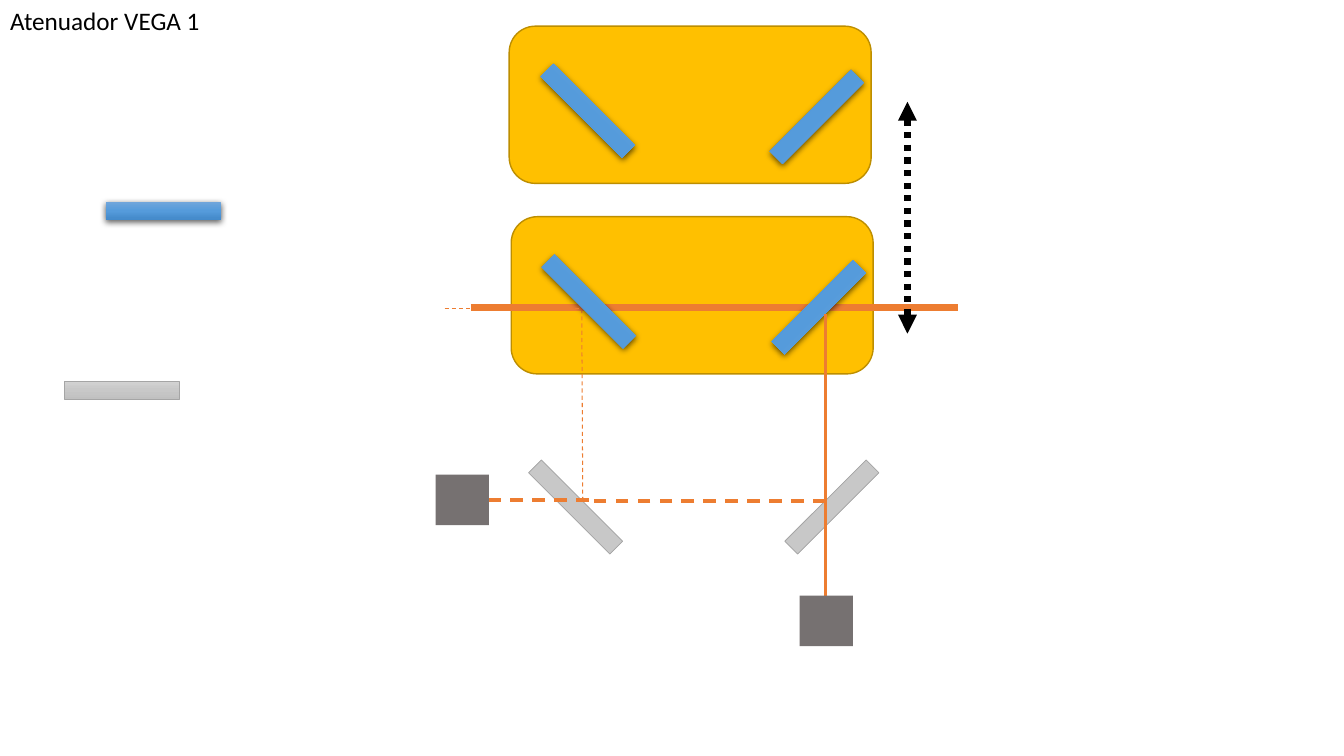
"""Draw the optical layout of a beam attenuator on one slide."""
import copy

import pptx
import pptx.dml.color
import pptx.enum.dml
import pptx.enum.shapes
import pptx.enum.text
import pptx.oxml
import pptx.oxml.ns
import pptx.util

Inches = pptx.util.Inches
Pt = pptx.util.Pt
qn = pptx.oxml.ns.qn
KIND = pptx.enum.shapes.MSO_SHAPE
DASH = pptx.enum.dml.MSO_LINE.DASH
DOT = pptx.enum.dml.MSO_LINE.ROUND_DOT

COLORS = {
    "text": "000000",
    "beam": "ED7D31",
    "stage": "FFC000",
    "edge": "BD8E00",
    "block": "767171",
    "rim": "A5A5A5",
}
BLUE = ("71A6DB", "559BDB", "448ACA")
GRAY = ("D2D2D2", "C8C8C8", "C0C0C0")
SHADOW = (
    '<a:outerShdw xmlns:a="http://schemas.openxmlformats.org/drawingml/2006/main"'
    ' blurRad="57150" dist="19050" dir="5400000" algn="ctr" rotWithShape="0">'
    '<a:srgbClr val="000000"><a:alpha val="63000"/></a:srgbClr></a:outerShdw>'
)


def color(name):
    return pptx.dml.color.RGBColor.from_string(COLORS[name])


def add_title(slide, text):
    title = slide.shapes.title
    title.left, title.top = Inches(0), Inches(0)
    title.width, title.height = Inches(2.1), Inches(0.4)
    frame = title.text_frame
    frame.word_wrap = False
    frame.auto_size = pptx.enum.text.MSO_AUTO_SIZE.NONE
    frame.vertical_anchor = pptx.enum.text.MSO_ANCHOR.TOP
    line = frame.paragraphs[0]
    line.alignment = pptx.enum.text.PP_ALIGN.LEFT
    line.line_spacing = 1.0
    run = line.add_run()
    run.text = text
    run.font.size = Pt(18)
    run.font.name = "Calibri"
    run.font.color.rgb = color("text")


def add_box(slide, kind, left, top, width, height):
    box = slide.shapes.add_shape(
        kind, Inches(left), Inches(top), Inches(width), Inches(height))
    box.shadow.inherit = False
    box.line.fill.background()
    return box


def set_line(line, name, width):
    line.color.rgb = color(name)
    line.width = Pt(width)


def add_stage(slide, left, top):
    stage = add_box(slide, KIND.ROUNDED_RECTANGLE, left, top, 3.59, 1.56)
    stage.fill.solid()
    stage.fill.fore_color.rgb = color("stage")
    set_line(stage.line, "edge", 1)


def add_block(slide, left, top):
    block = add_box(slide, KIND.RECTANGLE, left, top, 0.53, 0.5)
    block.fill.solid()
    block.fill.fore_color.rgb = color("block")


def add_mirror(slide, left, top, tones, angle=0):
    mirror = add_box(slide, KIND.RECTANGLE, left, top, 1.14, 0.18)
    mirror.rotation = angle
    mirror.fill.gradient()
    mirror.fill.gradient_angle = 270
    stops = next(mirror._element.spPr.iter(qn("a:gsLst")))
    stops.insert(1, copy.deepcopy(stops[0]))
    for stop, tone, place in zip(mirror.fill.gradient_stops, tones, (0, 0.5, 1)):
        stop.color.rgb = pptx.dml.color.RGBColor.from_string(tone)
        stop.position = place
    if tones is BLUE:
        effects = mirror._element.spPr.find(qn("a:effectLst"))
        effects.append(pptx.oxml.parse_xml(SHADOW))
    else:
        set_line(mirror.line, "rim", 0.5)


def add_beam(slide, start, end, width, dash=None, name="beam"):
    beam = slide.shapes.add_connector(
        pptx.enum.shapes.MSO_CONNECTOR.STRAIGHT,
        *(Inches(value) for value in (*start, *end)))
    set_line(beam.line, name, width)
    if dash:
        beam.line.dash_style = dash
    props = beam._element.spPr
    props.append(props.makeelement(qn("a:effectLst"), {}))
    return beam


def add_arrow(slide, start, end):
    arrow = add_beam(slide, start, end, 4.5, DOT, "text")
    line = arrow._element.spPr.find(qn("a:ln"))
    for tag in ("a:headEnd", "a:tailEnd"):
        line.append(line.makeelement(qn(tag), {"type": "triangle"}))


def main():
    deck = pptx.Presentation()
    deck.slide_width, deck.slide_height = Inches(13.33), Inches(7.5)
    slide = deck.slides.add_slide(deck.slide_layouts[5])
    add_title(slide, "Atenuador VEGA 1")

    add_mirror(slide, 0.64, 3.78, GRAY)
    add_mirror(slide, 1.05, 2, BLUE)

    add_stage(slide, 5.07, 2.15)
    add_beam(slide, (4.67, 3.05), (9.5, 3.05), 4.5)
    add_mirror(slide, 7.55, 2.96, BLUE, 135)
    add_mirror(slide, 7.68, 4.94, GRAY, 135)
    add_beam(slide, (8.19, 4.97), (8.19, 3.12), 2.25)
    add_beam(slide, (8.19, 5.95), (8.19, 4.97), 2.25)
    add_beam(slide, (8.19, 4.97), (5.78, 4.97), 2.25, DASH)
    add_mirror(slide, 5.14, 4.94, GRAY, 45)
    add_beam(slide, (5.84, 4.96), (4.69, 4.96), 2.25, DASH)
    add_block(slide, 7.93, 5.91)
    add_block(slide, 4.32, 4.71)
    add_beam(slide, (5.78, 4.97), (5.77, 3.06), 0.75, DASH)
    add_mirror(slide, 5.27, 2.9, BLUE, 45)
    add_beam(slide, (4.41, 3.06), (5.77, 3.06), 0.75, DASH)

    add_stage(slide, 5.05, 0.26)
    add_mirror(slide, 7.53, 1.07, BLUE, 135)
    add_mirror(slide, 5.26, 1.01, BLUE, 45)
    add_arrow(slide, (9, 1.01), (9, 3.31))
    deck.save("out.pptx")


if __name__ == "__main__":
    main()
